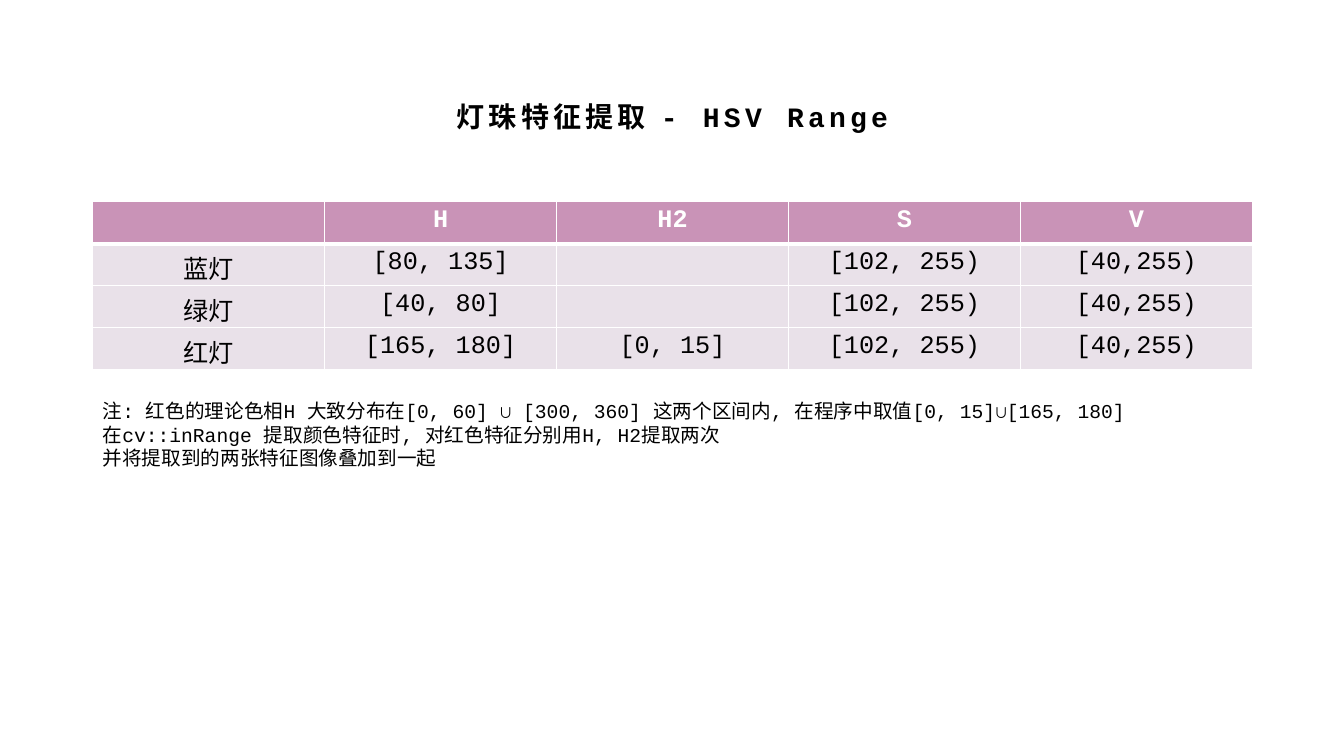
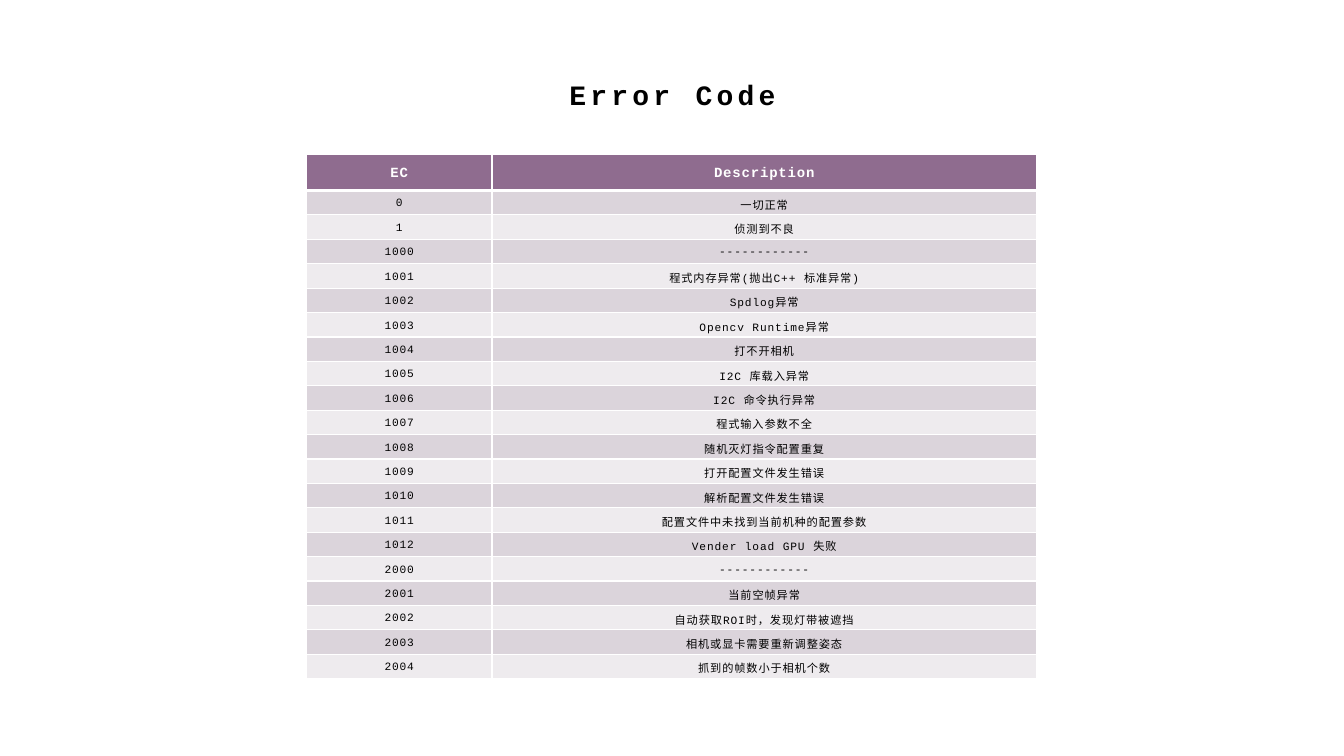
"""Build two slides: the HSV range table and the error code table."""
from lxml import etree
from pptx import Presentation
from pptx.dml.color import RGBColor
from pptx.enum.text import MSO_ANCHOR, PP_ALIGN
from pptx.oxml.ns import qn
from pptx.util import Pt

PX = 9144
FONT, BLACK, WHITE = "Courier New", "000000", "FFFFFF"
LEFT, CENTER = PP_ALIGN.LEFT, PP_ALIGN.CENTER
TOP, MIDDLE = MSO_ANCHOR.TOP, MSO_ANCHOR.MIDDLE
rgb = RGBColor.from_string


def style(p, size, color=BLACK, bold=False, align=CENTER, line=None, spacing=0):
    """Format a paragraph; spacing is in hundredths of a point."""
    p.alignment = align
    if line:
        p.line_spacing = line
    p.font.name, p.font.size, p.font.bold = FONT, Pt(size), bold
    p.font.color.rgb = rgb(color)
    if spacing:
        p._p.get_or_add_pPr().get_or_add_defRPr().set("spc", str(spacing))


def add_grid(s, rows, left, top, widths, header_h, height, header_fill, fills,
             sizes, margins, anchor=TOP, line=None, spacing=0):
    """Add a table with a header row, cycling fills and white borders."""
    table = s.shapes.add_table(len(rows), len(widths), left * PX, top * PX,
                               sum(widths) * PX, height * PX).table
    for column, width in zip(table.columns, widths):
        column.width = width * PX
    row_h = (height - header_h) * PX // (len(rows) - 1)
    for i, texts in enumerate(rows):
        header = i == 0
        table.rows[i].height = header_h * PX if header else row_h
        for j, text in enumerate(texts):
            cell = table.cell(i, j)
            cell.margin_left = cell.margin_right = margins[0] * PX
            cell.margin_top = cell.margin_bottom = margins[1] * PX
            cell.vertical_anchor = anchor
            tcPr = cell._tc.get_or_add_tcPr()
            for side in ("lnL", "lnR", "lnT", "lnB"):
                thick = (i, side) in ((0, "lnB"), (1, "lnT"))
                ln = etree.SubElement(tcPr, qn("a:" + side), w=str(Pt(3 if thick else 1)))
                fill = etree.SubElement(ln, qn("a:solidFill"))
                etree.SubElement(fill, qn("a:srgbClr"), val=WHITE)
            cell.fill.solid()
            cell.fill.fore_color.rgb = rgb(header_fill if header else fills[(i - 1) % len(fills)])
            cell.text = text
            style(cell.text_frame.paragraphs[0], sizes[0 if header else 1],
                  WHITE if header else BLACK, header, line=line, spacing=spacing)


prs = Presentation()
prs.slide_width, prs.slide_height = 1333 * PX, 750 * PX

slides = []
for title, height in (("灯珠特征提取 - HSV Range", 145), ("Error Code", 100)):
    s = prs.slides.add_slide(prs.slide_layouts[6])
    tf = s.shapes.add_textbox(92 * PX, 40 * PX, 1150 * PX, height * PX).text_frame
    tf.word_wrap = True
    tf.vertical_anchor = MIDDLE
    tf.text = title
    style(tf.paragraphs[0], 20, bold=True, line=1.2, spacing=300)
    slides.append(s)
hsv_slide, error_slide = slides

hsv_rows = [
    ("", "H", "H2", "S", "V"),
    ("蓝灯", "[80, 135]", "", "[102, 255)", "[40,255)"),
    ("绿灯", "[40, 80]", "", "[102, 255)", "[40,255)"),
    ("红灯", "[165, 180]", "[0, 15]", "[102, 255)", "[40,255)"),
]
add_grid(hsv_slide, hsv_rows, 92, 200, [230] * 5, 42, 167, "C993B7", ["E9E1E9"],
         (18, 18), (10, 5))

notes = [
    "注: 红色的理论色相H 大致分布在[0, 60] ∪ [300, 360] 这两个区间内, 在程序中取值[0, 15]∪[165, 180]",
    "在cv::inRange 提取颜色特征时, 对红色特征分别用H, H2提取两次",
    "并将提取到的两张特征图像叠加到一起",
]
tf = hsv_slide.shapes.add_textbox(92 * PX, 391 * PX, 1148 * PX, 81 * PX).text_frame
tf.word_wrap = True
tf.text = "\n".join(notes)
for p in tf.paragraphs:
    style(p, 14, align=LEFT)

error_rows = [
    ("EC", "Description"),
    ("0", "一切正常"),
    ("1", "侦测到不良"),
    ("1000", "------------"),
    ("1001", "程式内存异常(抛出C++ 标准异常)"),
    ("1002", "Spdlog异常"),
    ("1003", "Opencv Runtime异常"),
    ("1004", "打不开相机"),
    ("1005", "I2C 库载入异常"),
    ("1006", "I2C 命令执行异常"),
    ("1007", "程式输入参数不全"),
    ("1008", "随机灭灯指令配置重复"),
    ("1009", "打开配置文件发生错误"),
    ("1010", "解析配置文件发生错误"),
    ("1011", "配置文件中未找到当前机种的配置参数"),
    ("1012", "Vender load GPU 失败"),
    ("2000", "------------"),
    ("2001", "当前空帧异常"),
    ("2002", "自动获取ROI时，发现灯带被遮挡"),
    ("2003", "相机或显卡需要重新调整姿态"),
    ("2004", "抓到的帧数小于相机个数"),
]
add_grid(error_slide, error_rows, 304, 153, [184, 540], 36, 521, "8F6C8F",
         ["DBD4DB", "EEEBEE"], (10, 8), (3, 1), MIDDLE, 1.2, 60)

prs.save("out.pptx")
